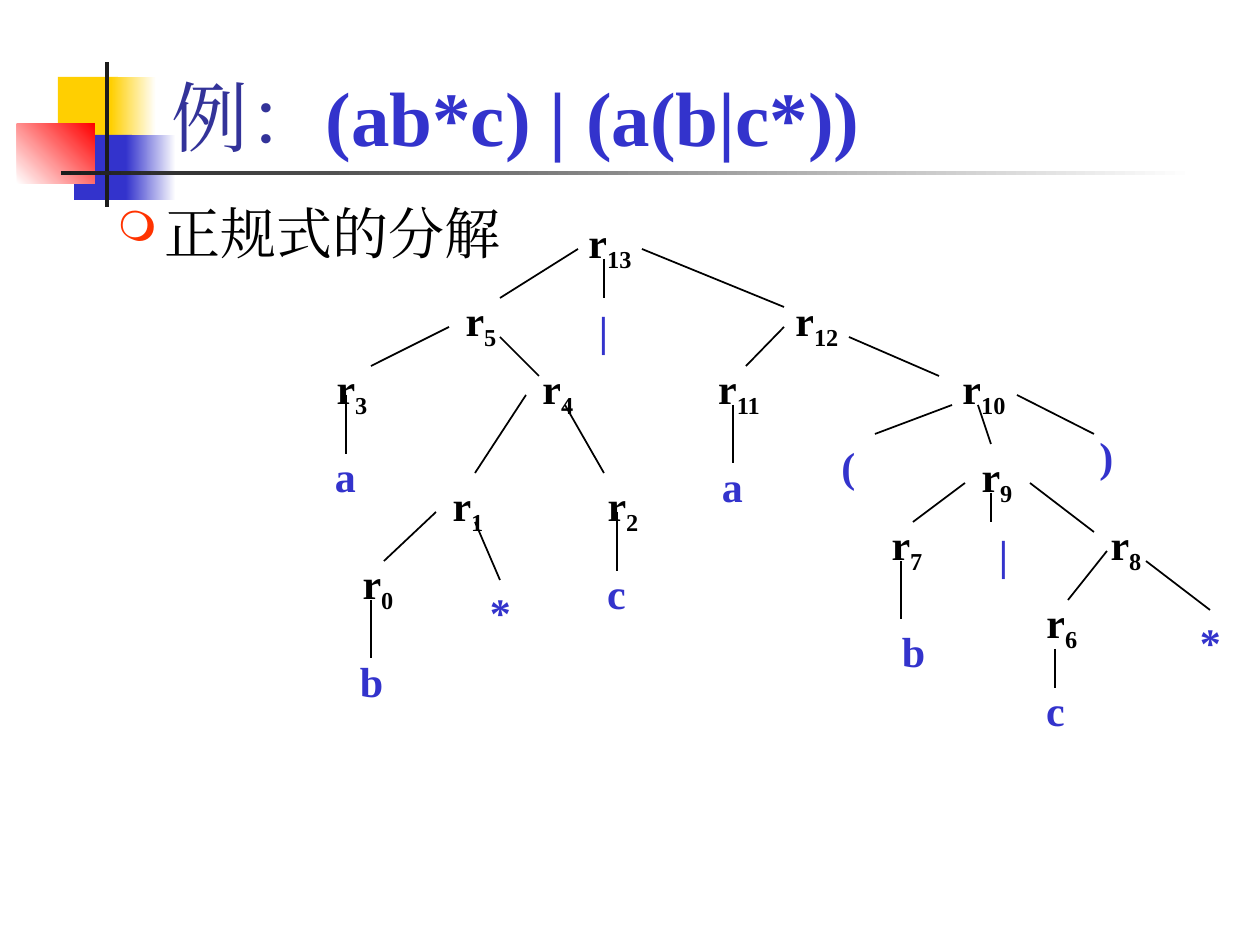
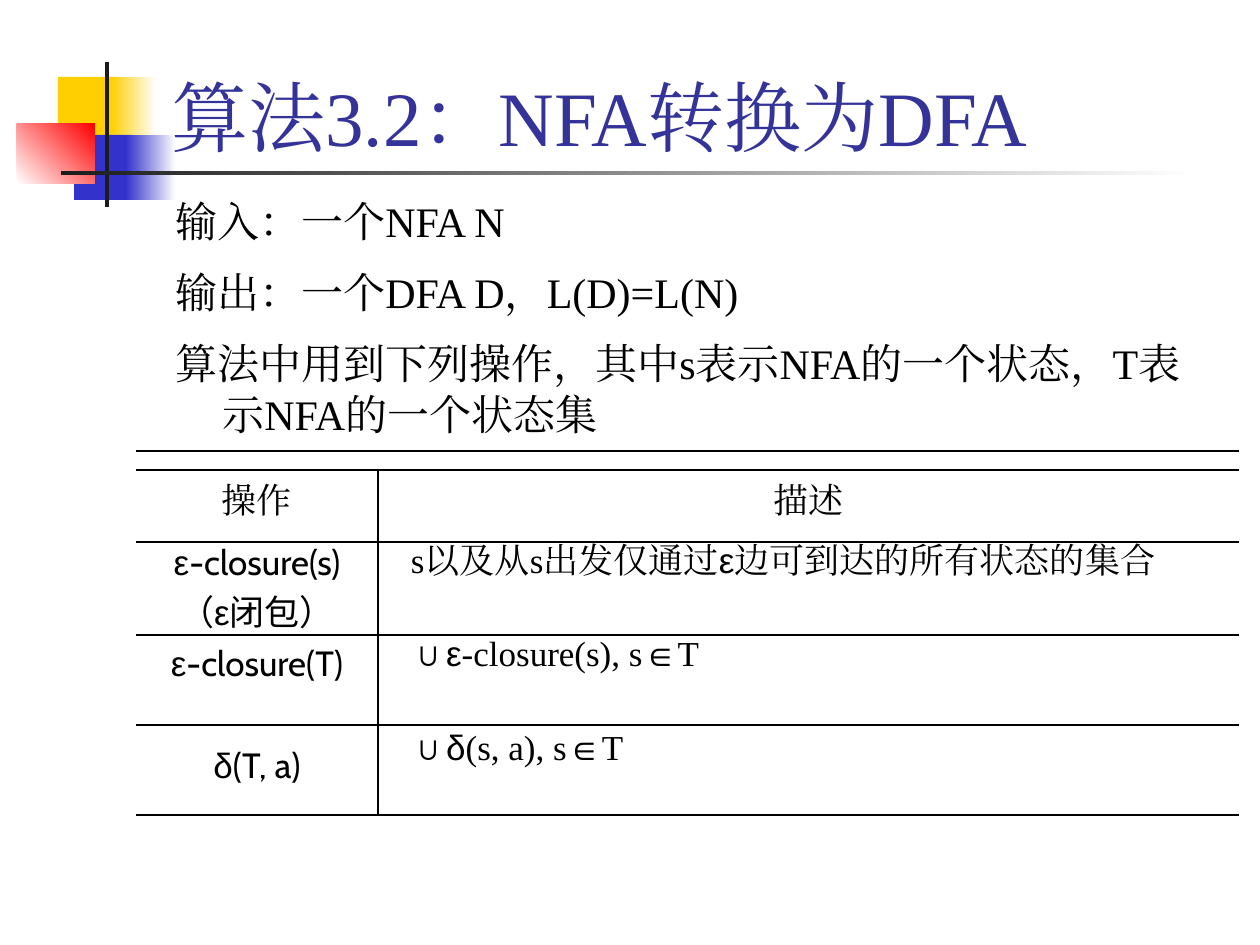
from dataclasses import dataclass

from lxml.etree import SubElement
from pptx import Presentation
from pptx.dml.color import RGBColor
from pptx.enum.shapes import MSO_CONNECTOR, MSO_SHAPE
from pptx.enum.text import MSO_ANCHOR, PP_ALIGN
from pptx.oxml import parse_xml
from pptx.oxml.ns import nsdecls, qn
from pptx.util import Pt


@dataclass(frozen=True)
class Theme:
    yellow: str = "FFCF01"
    blue: str = "3333CC"
    red: str = "FF0000"
    dark: str = "1C1C1C"
    title: str = "333399"
    bullet: str = "FF3300"
    ink: str = "000000"
    white: str = "FFFFFF"
    title_size: int = 44
    heading_size: int = 32
    body_size: int = 24
    table_size: int = 20
    serif: str = "Times New Roman"
    greek: str = "Arial"
    sans: str = "Cabin"
    chinese: str = "Noto Sans CJK SC"


THEME = Theme()
PX_PER_INCH = 126
HANG = 47

ROOT_BOX = (294, 210, 955, 536)
TREE_COLUMNS, TREE_ROWS = 74, 55
NODES = [  # index of r, column, row
    (13, 20, 0), (12, 36, 8), (5, 10, 8), (3, 0, 15), (11, 30, 15),
    (4, 16, 15), (9, 50, 24), (10, 49, 15), (8, 60, 31), (7, 43, 31),
    (6, 55, 39), (0, 2, 35), (1, 9, 27), (2, 21, 27),
]
LEAVES = [  # symbol, column, row
    ("b", 3, 45), ("*", 13, 38), ("c", 22, 36), ("a", 1, 24), ("a", 31, 25),
    ("|", 21, 9), ("(", 40, 23), (")", 60, 22), ("b", 45, 42), ("|", 52, 32),
    ("*", 68, 41), ("c", 56, 48),
]
EDGES = [  # start column, start row, end column, end row
    (22, 4, 16, 9), (24, 5, 24, 9), (27, 4, 38, 10),
    (12, 12, 6, 16), (16, 13, 19, 17), (38, 12, 35, 16), (43, 13, 50, 17),
    (4, 19, 4, 25), (18, 19, 14, 27), (21, 20, 24, 27), (34, 20, 34, 26),
    (51, 20, 45, 23), (53, 20, 54, 24), (56, 19, 62, 23),
    (11, 31, 7, 36), (14, 32, 16, 38), (25, 31, 25, 37),
    (52, 28, 48, 32), (54, 29, 54, 32), (57, 28, 62, 33),
    (6, 40, 6, 46), (47, 36, 47, 42), (63, 35, 60, 40), (66, 36, 71, 41),
    (59, 45, 59, 49),
]

GREEK = {"font": THEME.greek}
SANS = {"font": THEME.sans}
CHINESE = {"font": THEME.chinese}
EPSILON, DELTA = ("ε", GREEK), ("δ", GREEK)
# Each cell: its paragraphs and the gap above them
OPERATIONS = [
    [(["操作"], 12), (["描述"], 12)],
    [([[EPSILON, ("-closure(s)", SANS)],
       [("（", CHINESE), EPSILON, ("闭包）", CHINESE)]], 0),
     ([["s以及从s出发仅通过", EPSILON, "边可到达的所有状态的集合"]], 0)],
    [([[EPSILON, ("-closure(T)", SANS)]], 8),
     ([["∪", EPSILON, "-closure(s), s∈T"]], 0)],
    [([[DELTA, ("(T, a)", SANS)]], 20),
     ([["∪", DELTA, "(s, a), s∈T"]], 4)],
]


def px(length):
    return round(length * 914400 / PX_PER_INCH)


def rgb(color):
    return RGBColor.from_string(color)


def write_run(paragraph, text, size, color=THEME.ink, font=THEME.serif,
              bold=False, baseline=0):
    run = paragraph.add_run()
    run.text = text
    run.font.name = font
    run.font.size = Pt(size)
    run.font.bold = bold
    run.font.color.rgb = rgb(color)
    properties = run._r.get_or_add_rPr()
    SubElement(properties, qn("a:ea")).set("typeface", font)
    if baseline:
        properties.set("baseline", str(baseline * 1000))


def write(frame, paragraphs, align=PP_ALIGN.LEFT, gap=0, hang=0, bullet=None,
          **run_format):
    """Fill a frame; a paragraph is a string or a list of runs, and a run
    is a string or a (string, format) pair."""
    frame.word_wrap = True
    for index, runs in enumerate(paragraphs):
        paragraph = frame.paragraphs[0] if index == 0 else frame.add_paragraph()
        paragraph.alignment = align
        if index and gap:
            paragraph.space_before = Pt(gap)
        properties = paragraph._p.get_or_add_pPr()
        if hang:
            properties.set("marL", str(px(hang)))
            properties.set("indent", str(-px(hang)))
        if bullet:
            color = SubElement(properties, qn("a:buClr"))
            SubElement(color, qn("a:srgbClr")).set("val", THEME.bullet)
            SubElement(properties, qn("a:buSzPct")).set("val", "75000")
            SubElement(properties, qn("a:buChar")).set("char", bullet)
        for run in [runs] if isinstance(runs, str) else runs:
            text, changes = (run, {}) if isinstance(run, str) else run
            write_run(paragraph, text, **{**run_format, **changes})


def add_text(slide, box, paragraphs, anchor=MSO_ANCHOR.TOP, **text_format):
    frame = slide.shapes.add_textbox(*map(px, box)).text_frame
    frame.vertical_anchor = anchor
    write(frame, paragraphs, **text_format)


def add_line(slide, start, end, width):
    line = slide.shapes.add_connector(
        MSO_CONNECTOR.STRAIGHT, *map(px, (*start, *end)))
    line.line.color.rgb = rgb(THEME.ink)
    line.line.width = Pt(width)
    SubElement(line._element.spPr, qn("a:effectLst"))


def add_block(slide, box, color, end_color=None, angle=0):
    block = slide.shapes.add_shape(MSO_SHAPE.RECTANGLE, *map(px, box))
    block.shadow.inherit = False
    block.line.fill.background()
    if end_color is None:
        block.fill.solid()
        block.fill.fore_color.rgb = rgb(color)
        return
    block.fill.gradient()
    block.fill.gradient_angle = angle
    for stop, stop_color in zip(block.fill.gradient_stops, (color, end_color)):
        stop.color.rgb = rgb(stop_color)


def add_titled_slide(deck, title):
    """Add a blank slide with the coloured blocks, the rules and a title."""
    slide = deck.slides.add_slide(deck.slide_layouts[6])
    add_block(slide, (58, 77, 60, 65), THEME.yellow)
    add_block(slide, (111, 77, 45, 65), THEME.yellow, THEME.white)
    add_block(slide, (74, 135, 58, 65), THEME.blue)
    add_block(slide, (126, 135, 50, 65), THEME.blue, THEME.white)
    add_block(slide, (17, 124, 78, 60), THEME.white, THEME.red, angle=45)
    add_block(slide, (105, 62, 4, 145), THEME.dark)
    add_block(slide, (61, 171, 1134, 4), THEME.dark, THEME.white)
    add_text(slide, (159, 10, 1074, 158), [title], anchor=MSO_ANCHOR.BOTTOM,
             size=THEME.title_size, color=THEME.title)
    return slide


def add_tree(slide, box):
    left, top, width, height = box
    column_step, row_step = width / TREE_COLUMNS, height / TREE_ROWS

    def place(column, row):
        return round(left + column * column_step), round(top + row * row_step)

    def add_label(runs, column, row, label_width, color):
        add_text(slide, (*place(column, row), label_width, 63), [runs],
                 align=PP_ALIGN.CENTER, size=THEME.body_size, color=color,
                 bold=True)

    for index, column, row in NODES:
        add_label(["r", (str(index), {"baseline": -25})], column, row, 116,
                  THEME.ink)
    for start_column, start_row, end_column, end_row in EDGES:
        add_line(slide, place(start_column, start_row),
                 place(end_column, end_row), 1)
    for symbol, column, row in LEAVES:
        add_label(symbol, column, row, 77, THEME.blue)


def set_borders(cell, sides):
    """Draw the named sides (L, R, T, B) of a cell and clear the others."""
    properties = cell._tc.get_or_add_tcPr()
    for position, side in enumerate("LRTB"):
        paint = (f'<a:solidFill><a:srgbClr val="{THEME.ink}"/></a:solidFill>'
                 if side in sides else "<a:noFill/>")
        properties.insert(position, parse_xml(
            f'<a:ln{side} {nsdecls("a")} w="9525">{paint}</a:ln{side}>'))


def add_operations(slide, box, row_heights):
    left, top, width, height = box
    table = slide.shapes.add_table(
        len(OPERATIONS), 2, *map(px, box)).table
    table.first_row = table.horz_banding = False
    name_width = 242
    for column, column_width in zip(table.columns,
                                    (name_width, width - name_width)):
        column.width = px(column_width)
    for row, (cells, row_height) in enumerate(zip(OPERATIONS, row_heights)):
        table.rows[row].height = px(row_height)
        for column, (paragraphs, gap_above) in enumerate(cells):
            cell = table.cell(row, column)
            cell.fill.background()
            set_borders(cell, "TB" + "RL"[column])
            centered = row == 0 or column == 0
            cell.margin_left = px(0 if centered else 33)
            cell.margin_right = cell.margin_bottom = 0
            cell.margin_top = px(gap_above)
            write(cell.text_frame, paragraphs, size=THEME.table_size,
                  align=PP_ALIGN.CENTER if centered else PP_ALIGN.LEFT)
    add_line(slide, (left, top - 19), (left + width, top - 19), 0.75)


def add_decomposition_slide(deck):
    formula = ("(ab*c) | (a(b|c*))", {"color": THEME.blue, "bold": True})
    slide = add_titled_slide(deck, ["例：", formula])
    add_text(slide, (105, 192, 1071, 95), ["正规式的分解"], hang=HANG,
             bullet="❍", size=THEME.heading_size)
    add_tree(slide, ROOT_BOX)


def add_algorithm_slide(deck):
    slide = add_titled_slide(deck, "算法3.2：NFA转换为DFA")
    add_text(slide, (163, 189, 1071, 260),
             ["输入：一个NFA N",
              "输出：一个DFA D，L(D)=L(N)",
              "算法中用到下列操作，其中s表示NFA的一个状态，T表示NFA的一个状态集"],
             hang=HANG, gap=12, size=THEME.body_size)
    add_operations(slide, (136, 470, 1103, 345), (72, 93, 90, 90))


def main():
    deck = Presentation()
    deck.slide_width, deck.slide_height = px(1260), px(945)
    add_decomposition_slide(deck)
    add_algorithm_slide(deck)
    deck.save("out.pptx")


if __name__ == "__main__":
    main()
